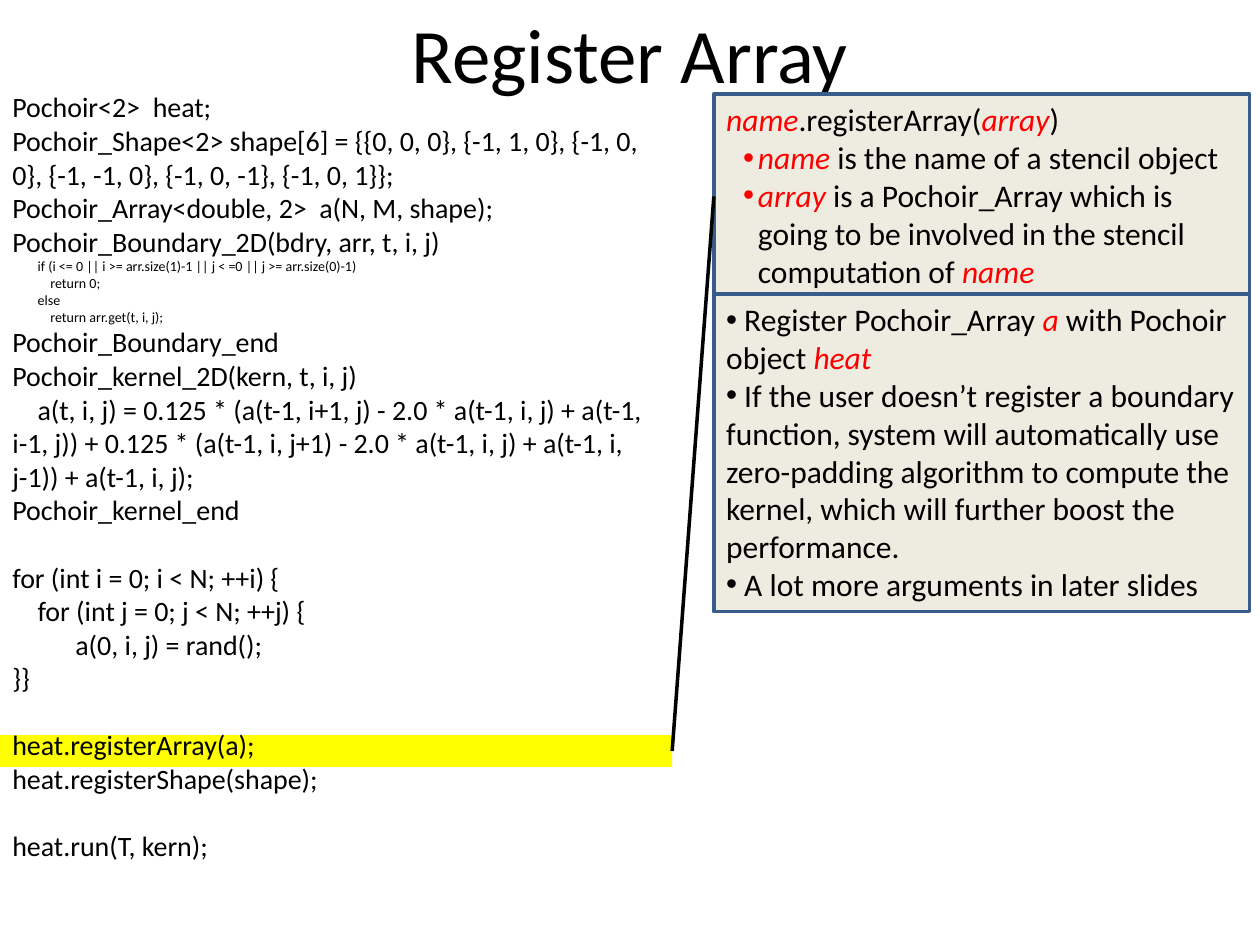
"""Build the Register Array slide: code listing on the left, two notes on the right."""
import pptx
import pptx.util
import pptx.dml.color
import pptx.enum.shapes
import pptx.enum.text
import pptx.oxml.ns
import lxml.etree

Cm, Pt = pptx.util.Cm, pptx.util.Pt
RECT = pptx.enum.shapes.MSO_SHAPE.RECTANGLE
LINE = pptx.enum.shapes.MSO_CONNECTOR.STRAIGHT
ALIGN, ANCHOR = pptx.enum.text.PP_ALIGN, pptx.enum.text.MSO_ANCHOR
BLACK, RED, BLUE, CREAM, YELLOW = "000000", "FF0000", "385D8A", "EEECE1", "FFFF00"
GAP = 19.2

TITLE = "Register Array"
CODE = [
    (16, 0, [
        "Pochoir<2>  heat;",
        "Pochoir_Shape<2> shape[6] = {{0, 0, 0}, {-1, 1, 0}, {-1, 0, 0}, "
        "{-1, -1, 0}, {-1, 0, -1}, {-1, 0, 1}};",
        "Pochoir_Array<double, 2>  a(N, M, shape);",
        "Pochoir_Boundary_2D(bdry, arr, t, i, j)"]),
    (8, 0, [
        "        if (i <= 0 || i >= arr.size(1)-1 || j < =0 || j >= arr.size(0)-1)",
        "            return 0;",
        "        else",
        "            return arr.get(t, i, j);"]),
    (16, 0, [
        "Pochoir_Boundary_end",
        "Pochoir_kernel_2D(kern, t, i, j)",
        "    a(t, i, j) = 0.125 * (a(t-1, i+1, j) - 2.0 * a(t-1, i, j) + "
        "a(t-1, i-1, j)) + 0.125 * (a(t-1, i, j+1) - 2.0 * a(t-1, i, j) + "
        "a(t-1, i, j-1)) + a(t-1, i, j);",
        "Pochoir_kernel_end"]),
    (16, GAP, [
        "for (int i = 0; i < N; ++i) {",
        "    for (int j = 0; j < N; ++j) {",
        "          a(0, i, j) = rand();",
        "}}"]),
    (16, GAP, ["heat.registerArray(a);", "heat.registerShape(shape);"]),
    (16, GAP, ["heat.run(T, kern);"]),
]
USAGE = [
    (None, "|name|.registerArray(|array|)"),
    ((0.64, -0.3), "|name |is the name of a stencil object"),
    ((0.64, -0.3), "|array |is a Pochoir_Array which is going to be involved "
                   "in the stencil computation of |name|"),
]
NOTES = [
    ((0, 0), " Register Pochoir_Array |a| with Pochoir object |heat|"),
    ((0, 0), " If the user doesn’t register a boundary function, system will "
             "automatically use zero-padding algorithm to compute the kernel, "
             "which will further boost the performance."),
    ((0, 0), " A lot more arguments in later slides"),
]


def tint(code):
    """Turn a hex string into a colour."""
    return pptx.dml.color.RGBColor.from_string(code)


def style(item, **vals):
    """Set each given attribute on an item."""
    for key, val in vals.items():
        setattr(item, key, val)


def write(para, text, size, color=BLACK, slant=False):
    """Add one run of text to a paragraph."""
    run = para.add_run()
    run.text = text
    style(run.font, name="Calibri", size=Pt(size), italic=slant)
    run.font.color.rgb = tint(color)


def paras(frame, items):
    """Pair each item with its own paragraph."""
    for num, item in enumerate(items):
        yield frame.add_paragraph() if num else frame.paragraphs[0], item


def child(node, tag, **vals):
    """Add a drawing element under a node."""
    return lxml.etree.SubElement(node, pptx.oxml.ns.qn(tag), **vals)


def dot(para, left, hang):
    """Give a paragraph a round bullet."""
    props = para._p.get_or_add_pPr()
    props.set("marL", str(Cm(left)))
    props.set("indent", str(Cm(hang)))
    child(props, "a:buFont", typeface="Arial")
    child(props, "a:buChar", char="•")


def block(shapes, area, fill):
    """Draw a plain filled rectangle."""
    shape = shapes.add_shape(RECT, *map(Cm, area))
    shape.shadow.inherit = False
    shape.fill.solid()
    shape.fill.fore_color.rgb = tint(fill)
    shape.line.fill.background()
    return shape


def panel(shapes, area, items):
    """Draw a framed note whose terms between bars are red."""
    shape = block(shapes, area, CREAM)
    shape.line.color.rgb = tint(BLUE)
    shape.line.width = Pt(2)
    frame = shape.text_frame
    style(frame, word_wrap=True, vertical_anchor=ANCHOR.TOP)
    for para, (mark, text) in paras(frame, items):
        if mark:
            dot(para, *mark)
        para.alignment = ALIGN.LEFT
        for num, part in enumerate(text.split("|")):
            if part:
                term = num % 2 == 1
                write(para, part, 18, RED if term else BLACK, term)


def label(shapes, area, **vals):
    """Add a wrapping text box and return its frame."""
    frame = shapes.add_textbox(*map(Cm, area)).text_frame
    style(frame, word_wrap=True, **vals)
    return frame


def main():
    """Compose and save the slide."""
    deck = pptx.Presentation()
    style(deck, slide_width=Cm(25.4), slide_height=Cm(19.05))
    shapes = deck.slides.add_slide(deck.slide_layouts[6]).shapes

    block(shapes, (0, 14.82, 13.55, 0.64), YELLOW)
    frame = label(shapes, (0, 1.69, 13.76, 15.98))
    rows = [(size, 0 if num else gap, text)
            for size, gap, lines in CODE for num, text in enumerate(lines)]
    for para, (size, gap, text) in paras(frame, rows):
        if gap:
            para.space_before = Pt(gap)
        write(para, text, size)

    head = label(shapes, (1.27, 0, 22.86, 2.12), vertical_anchor=ANCHOR.MIDDLE)
    head.paragraphs[0].alignment = ALIGN.CENTER
    write(head.paragraphs[0], TITLE, 44)

    panel(shapes, (14.39, 1.9, 10.8, 4.11), USAGE)
    link = shapes.add_connector(LINE, *map(Cm, (13.55, 15.14, 14.39, 3.96)))
    link.line.color.rgb = tint(BLACK)
    link.line.width = Pt(2)
    child(link._element.spPr, "a:effectLst")
    panel(shapes, (14.39, 5.93, 10.8, 6.4), NOTES)

    deck.save("out.pptx")


if __name__ == "__main__":
    main()
